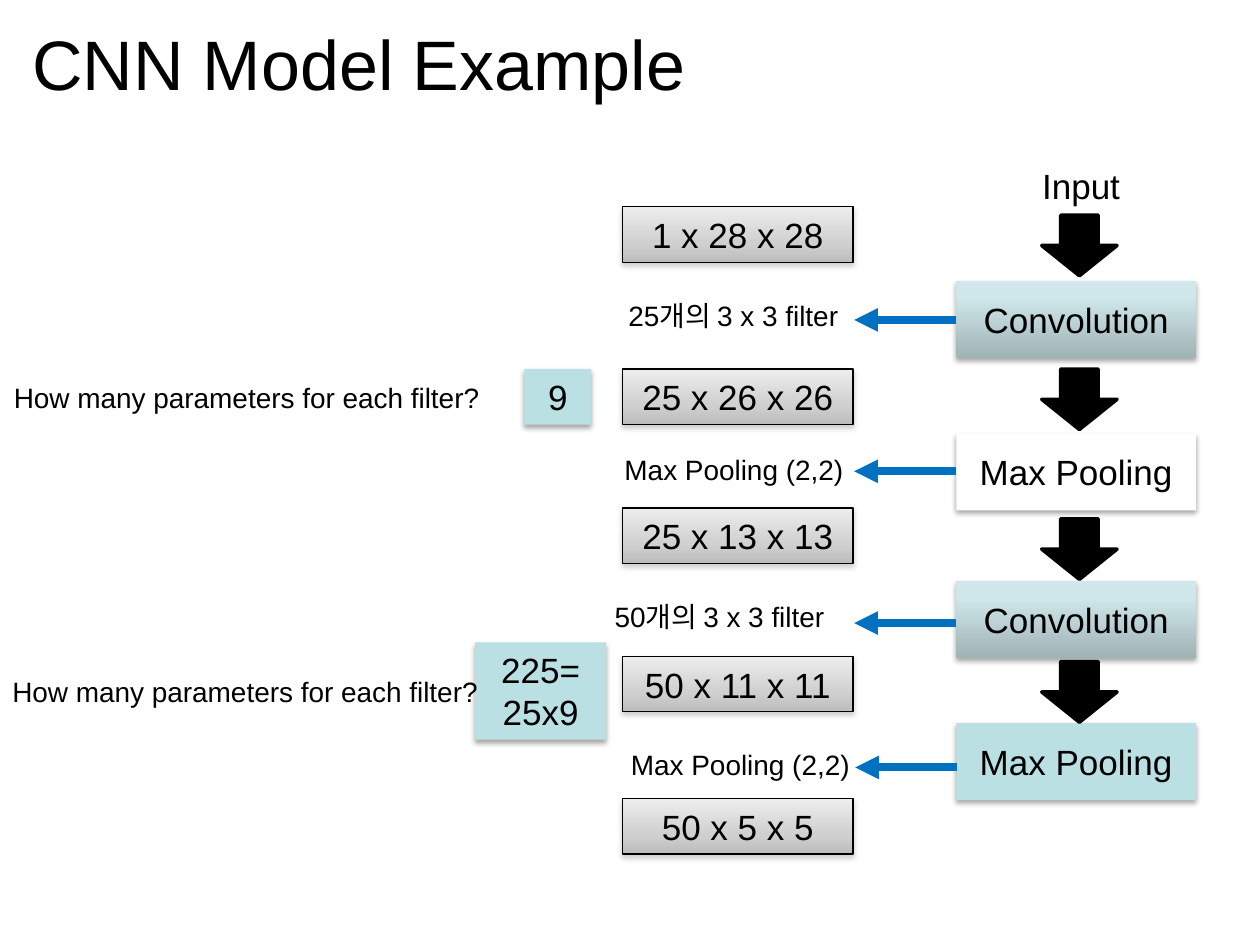
from copy import deepcopy
from dataclasses import dataclass
from typing import Optional

from lxml import etree
from pptx import Presentation
from pptx import util as u
from pptx.dml.color import RGBColor
from pptx.enum import shapes, text
from pptx.oxml.ns import qn

COLORS = {
    "black": "000000", "white": "FFFFFF", "aqua": "BBE0E3", "blue": "0070C0", "shade": "808080",
    "aqua_dark": "A0B3B5", "aqua_mid": "D0E8EB", "aqua_light": "D1EAEC",
    "gray_light": "EDEDED", "gray_mid": "D0D0D0", "gray_dark": "BCBCBC",
}
# Gradient name: angle (counter-clockwise) and stops
GRADIENTS = {
    "layer": (90, [(0, "aqua_dark"), (0.8, "aqua_mid"), (1, "aqua_light")]),
    "size": (270, [(0, "gray_light"), (0.65, "gray_mid"), (1, "gray_dark")]),
}
FONT = "Arial"
LAYER_X, LAYER_W, LAYER_H = 19.28, 4.83, 1.55
SIZE_X, SIZE_W, SIZE_H = 12.55, 4.65, 1.12
ARROW_X, ARROW_W, ARROW_H = 21, 1.52, 1.22
POINTER_LENGTH = 2.06


@dataclass
class Block:
    """A filled rectangle with a caption; lengths in centimetres."""
    caption: str
    left: float
    top: float
    width: float
    height: float
    fill: str
    line: Optional[str] = None
    shadow: str = "black"
    opacity: int = 35


@dataclass
class Label:
    """Free text; lengths in centimetres."""
    caption: str
    left: float
    top: float
    width: float
    height: float = 0.94
    size: int = 16
    align: text.PP_ALIGN = text.PP_ALIGN.LEFT
    margins: tuple = (0.25, 0.13)


def rgb(name: str) -> RGBColor:
    return RGBColor.from_string(COLORS[name])


def apply(target, values: dict) -> None:
    for name, value in values.items():
        setattr(target, name, value)


def write(frame, caption: str, size: int, align) -> None:
    frame.text = caption
    for para in frame.paragraphs:
        para.alignment = align
        for span in para.runs:
            apply(span.font, {"name": FONT, "size": u.Pt(size)})
            span.font.color.rgb = rgb("black")


def paint(shape, fill: str) -> None:
    """Apply a solid colour or a three-stop gradient."""
    if fill not in GRADIENTS:
        shape.fill.solid()
        shape.fill.fore_color.rgb = rgb(fill)
        return
    angle, stops = GRADIENTS[fill]
    shape.fill.gradient()
    shape.fill.gradient_angle = angle
    stop_list = shape._element.spPr.find(qn("a:gradFill")).find(qn("a:gsLst"))
    stop_list.append(deepcopy(stop_list[-1]))
    for stop, (position, color) in zip(shape.fill.gradient_stops, stops):
        stop.color.rgb = rgb(color)
        stop.position = position


def cast_shadow(shape, color: str, opacity: int) -> None:
    effects = shape._element.spPr.find(qn("a:effectLst"))
    shadow = etree.SubElement(effects, qn("a:outerShdw"), blurRad=str(u.Pt(3.1)),
                              dist=str(u.Pt(1.8)), dir="5400000", rotWithShape="0")
    tone = etree.SubElement(shadow, qn("a:srgbClr"), val=COLORS[color])
    etree.SubElement(tone, qn("a:alpha"), val=str(opacity * 1000))


def add_block(page, block: Block) -> None:
    box = page.shapes.add_shape(
        shapes.MSO_SHAPE.RECTANGLE,
        *map(u.Cm, (block.left, block.top, block.width, block.height)))
    paint(box, block.fill)
    if block.line:
        box.line.color.rgb = rgb(block.line)
        box.line.width = u.Pt(0.75)
    else:
        box.line.fill.background()
    box.shadow.inherit = False
    cast_shadow(box, block.shadow, block.opacity)
    apply(box.text_frame, {"word_wrap": True, "vertical_anchor": text.MSO_ANCHOR.MIDDLE})
    write(box.text_frame, block.caption, 20, text.PP_ALIGN.CENTER)


def add_label(page, label: Label) -> None:
    box = page.shapes.add_textbox(
        *map(u.Cm, (label.left, label.top, label.width, label.height)))
    left, top = map(u.Cm, label.margins)
    apply(box.text_frame, {"word_wrap": True, "margin_left": left,
                           "margin_top": top, "margin_right": 0})
    if label.align == text.PP_ALIGN.CENTER:
        box.text_frame.margin_right = left
    write(box.text_frame, label.caption, label.size, label.align)


def add_down_arrow(page, top: float) -> None:
    arrow = page.shapes.add_shape(shapes.MSO_SHAPE.DOWN_ARROW,
                                  *map(u.Cm, (ARROW_X, top, ARROW_W, ARROW_H)))
    paint(arrow, "black")
    arrow.line.color.rgb = rgb("black")
    arrow.line.width = u.Pt(2)
    arrow.shadow.inherit = False


def add_pointer(page, start: float, y: float) -> None:
    """Draw a blue arrow leftwards from a layer to its note."""
    line = page.shapes.add_connector(
        shapes.MSO_CONNECTOR.STRAIGHT,
        *map(u.Cm, (start, y, start - POINTER_LENGTH, y)))
    line.line.color.rgb = rgb("blue")
    line.line.width = u.Pt(4.5)
    etree.SubElement(line.line._get_or_add_ln(), qn("a:tailEnd"), type="triangle")
    etree.SubElement(line._element.spPr, qn("a:effectLst"))


LAYERS = [
    Block(caption, LAYER_X, top, LAYER_W, LAYER_H, fill)
    for caption, top, fill in [
        ("Convolution", 5.66, "layer"), ("Max Pooling", 8.74, "white"),
        ("Convolution", 11.71, "layer"), ("Max Pooling", 14.58, "aqua")]
]
SIZES = [
    Block(caption, SIZE_X, top, SIZE_W, SIZE_H, "size", "black", "shade", 38)
    for caption, top in [
        ("1 x 28 x 28", 4.17), ("25 x 26 x 26", 7.44), ("25 x 13 x 13", 10.24),
        ("50 x 11 x 11", 13.23), ("50 x 5 x 5", 16.1)]
]
ANSWERS = [
    Block("9", 10.57, 7.44, 1.35, 1.12, "aqua"),
    Block("225=\n25x9", 9.58, 12.95, 2.64, 1.96, "aqua"),
]
QUESTION = "How many parameters for each filter?"
LABELS = [
    Label("CNN Model Example", 0, 0.15, 25.4, 19.05, 40, margins=(0.65, 0.27)),
    Label("Input", 18.95, 3.18, 5.69, 1.12, 20, text.PP_ALIGN.CENTER),
    Label(QUESTION, 0.03, 7.54, 10.06),
    Label(QUESTION, 0, 13.46, 10.06),
    Label("25개의 3 x 3 filter", 12.42, 5.89, 5.05),
    Label("Max Pooling (2,2)", 12.34, 8.99, 5.05),
    Label("50개의 3 x 3 filter", 12.14, 11.96, 5.05),
    Label("Max Pooling (2,2)", 12.47, 14.94, 5.05),
]
ARROW_TOPS = [4.34, 7.44, 10.46, 13.34]
POINTERS = [(19.28, 6.45), (19.28, 9.5), (19.28, 12.56), (19.3, 15.47)]


def main() -> None:
    deck = Presentation()
    apply(deck, {"slide_width": u.Cm(25.4), "slide_height": u.Cm(19.05)})
    page = deck.slides.add_slide(deck.slide_layouts[6])
    for block in LAYERS + SIZES:
        add_block(page, block)
    for top in ARROW_TOPS:
        add_down_arrow(page, top)
    for start, y in POINTERS:
        add_pointer(page, start, y)
    for block in ANSWERS:
        add_block(page, block)
    for label in LABELS:
        add_label(page, label)
    deck.save("out.pptx")


if __name__ == "__main__":
    main()
